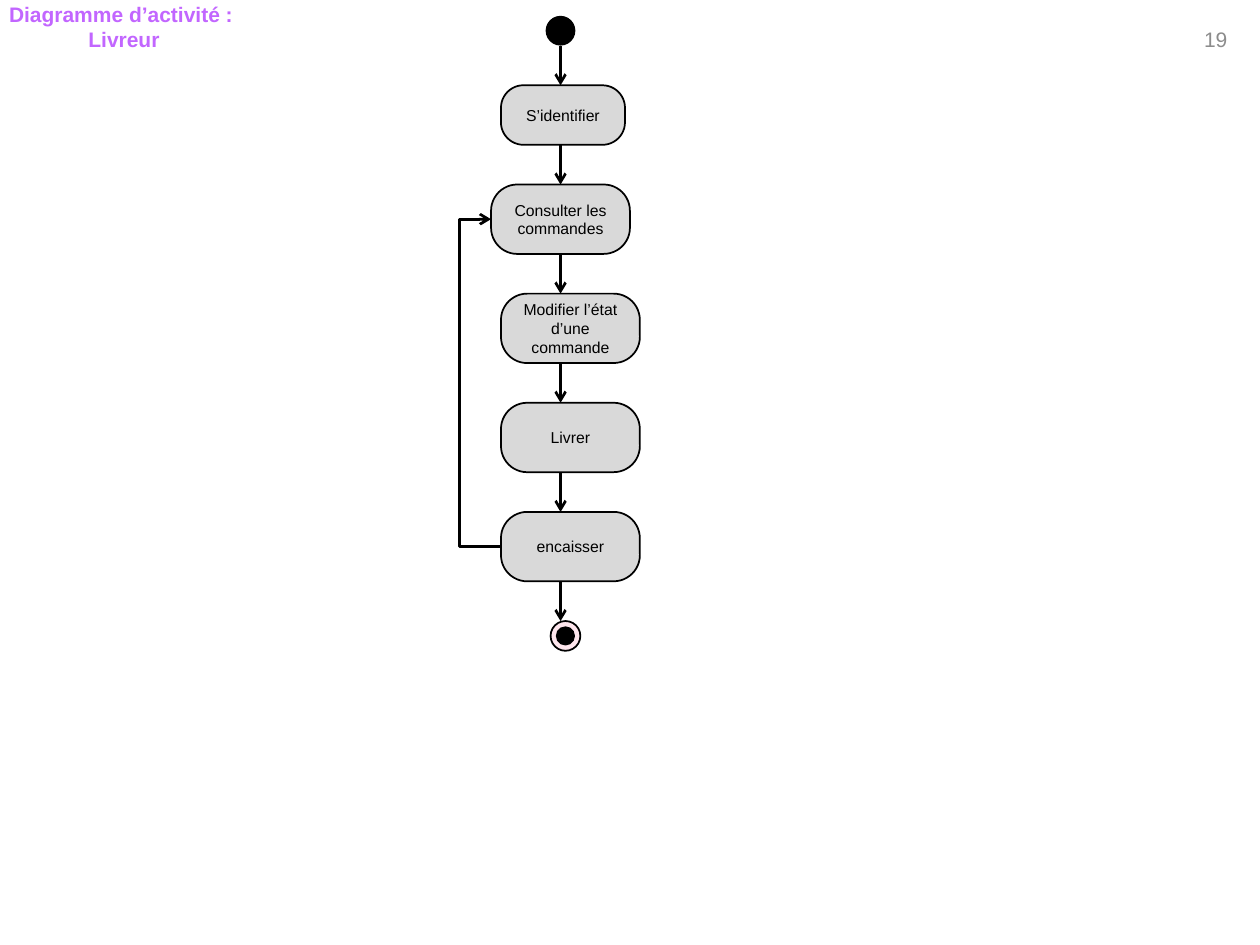
from lxml import etree
from pptx import Presentation
from pptx.dml.color import RGBColor
from pptx.enum.shapes import MSO_CONNECTOR, MSO_SHAPE
from pptx.enum.text import MSO_ANCHOR, MSO_AUTO_SIZE, PP_ALIGN
from pptx.oxml.ns import qn
from pptx.util import Cm, Pt

ROUND, OVAL, DONUT = MSO_SHAPE.ROUNDED_RECTANGLE, MSO_SHAPE.OVAL, MSO_SHAPE.DONUT
STRAIGHT, ELBOW = MSO_CONNECTOR.STRAIGHT, MSO_CONNECTOR.ELBOW
CENTER, TOP, MIDDLE = PP_ALIGN.CENTER, MSO_ANCHOR.TOP, MSO_ANCHOR.MIDDLE
NO_AUTOFIT = MSO_AUTO_SIZE.NONE
BLACK, GREY, PINK = "000000", "D9D9D9", "FEE6ED"
PURPLE, PAGE_GREY = "C266FF", "8C8C8C"

# Offset from the flow's left edge, width, height and label of each activity
ACTIVITIES = [
    (0.2, 2.5, 1.2, "S’identifier"),
    (0, 2.8, 1.4, "Consulter les commandes"),
    (0.2, 2.8, 1.4, "Modifier l’état d’une commande"),
    (0.2, 2.8, 1.4, "Livrer"),
    (0.2, 2.8, 1.4, "encaisser"),
]
GAP, DOT = 0.8, 0.6


def color(value):
    return RGBColor.from_string(value)


def write(tf, lines, size, fill, bold=False, anchor=MIDDLE):
    tf.word_wrap = True
    tf.vertical_anchor = anchor
    tf.text = "\n".join(lines)
    for p in tf.paragraphs:
        p.alignment = CENTER
        p.font.name, p.font.size, p.font.bold = "Arial", Pt(size), bold
        p.font.color.rgb = color(fill)


def add_box(s, kind, x, y, w, h, fill=None, line=None, adj=None):
    sp = s.shapes.add_shape(kind, Cm(x), Cm(y), Cm(w), Cm(h))
    sp.shadow.inherit = False
    if fill:
        sp.fill.solid()
        sp.fill.fore_color.rgb = color(fill)
    else:
        sp.fill.background()
    if line:
        sp.line.color.rgb = color(line)
        sp.line.width = Pt(1)
    else:
        sp.line.fill.background()
    if adj is not None:
        sp.adjustments[0] = adj
    return sp


def add_arrow(s, kind, x1, y1, x2, y2):
    c = s.shapes.add_connector(kind, Cm(x1), Cm(y1), Cm(x2), Cm(y2))
    c.line.color.rgb = color(BLACK)
    c.line.width = Pt(1.57)
    etree.SubElement(c.line._get_or_add_ln(), qn("a:tailEnd"), type="arrow")
    etree.SubElement(c._element.spPr, qn("a:effectLst"))
    return c


def add_header(s, x, y, w, h):
    # Title
    title = s.shapes.title
    title.left, title.top, title.width, title.height = Cm(x), Cm(y), Cm(w), Cm(h)
    write(title.text_frame, ["Diagramme d’activité : ", "Livreur"], 12, PURPLE, True, TOP)
    title.text_frame.auto_size = NO_AUTOFIT


def add_page_number(s, x, y, w, h):
    sp = add_box(s, ROUND, x, y, w, h)
    write(sp.text_frame, ["19"], 12, PAGE_GREY)


def add_flow(s, x, y):
    axis = x + 1.4

    # Start node
    add_box(s, OVAL, axis - DOT / 2, y, DOT, DOT, BLACK)
    y += DOT

    # Activities, each entered by an arrow from the step above
    left_sides = []
    for dx, w, h, label in ACTIVITIES:
        add_arrow(s, STRAIGHT, axis, y, axis, y + GAP)
        y += GAP
        sp = add_box(s, ROUND, x + dx, y, w, h, GREY, BLACK, 0.378)
        write(sp.text_frame, [label], 9, BLACK)
        left_sides.append((x + dx, y + h / 2))
        y += h

    # End node
    add_arrow(s, STRAIGHT, axis, y, axis, y + GAP)
    y += GAP
    end_x = axis - DOT / 2 + 0.1
    add_box(s, OVAL, end_x, y, DOT, DOT, BLACK)
    add_box(s, DONUT, end_x, y, DOT, DOT, PINK, BLACK, 0.208)

    # Loop from the last activity back to the second
    (x1, y1), (x2, y2) = left_sides[-1], left_sides[1]
    loop = add_arrow(s, ELBOW, x1, y1, x2, y2)
    bend = round(0.84 / (x1 - x2) * 100000)
    geom = loop._element.spPr.find(qn("a:prstGeom"))
    guides = geom.find(qn("a:avLst"))
    if guides is None:
        guides = etree.SubElement(geom, qn("a:avLst"))
    etree.SubElement(guides, qn("a:gd"), name="adj1", fmla=f"val {bend}")


prs = Presentation()
prs.slide_width, prs.slide_height = Cm(25.4), Cm(19.05)
s = prs.slides.add_slide(prs.slide_layouts[5])
add_page_number(s, 23.62, 0, 1.78, 1.57)
add_header(s, -3.1, -0.1, 11.2, 1.27)
add_flow(s, 9.9, 0.32)
prs.save("out.pptx")
